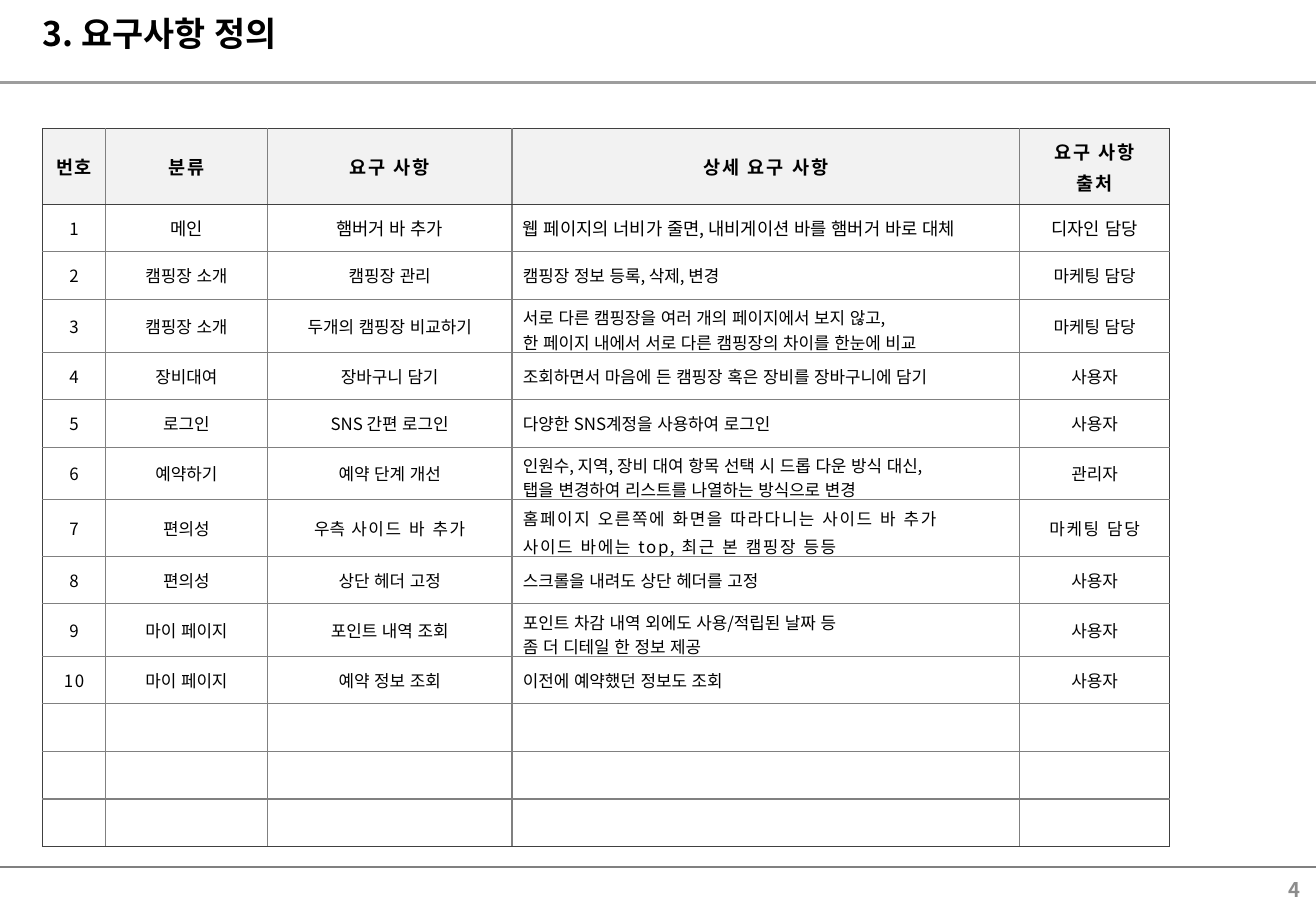
from dataclasses import dataclass

from lxml.etree import SubElement
from pptx import Presentation
from pptx.dml.color import RGBColor
from pptx.enum.shapes import MSO_CONNECTOR
from pptx.enum.text import MSO_ANCHOR as Anchor, PP_ALIGN as Align
from pptx.oxml import parse_xml
from pptx.oxml.ns import nsdecls, qn
from pptx.util import Pt


@dataclass(frozen=True)
class Theme:
    font: str = "Noto Sans CJK KR"
    text: str = "000000"
    page_number: str = "8C8C8C"
    rule: str = "808080"
    frame: str = "404040"
    header_fill: str = "F2F2F2"
    title_size: float = 20
    page_size: float = 12
    header_size: float = 11
    first_row_size: float = 10.5
    body_size: float = 10
    tracking: float = 1


THEME = Theme()
SLIDE_WIDTH, SLIDE_HEIGHT = 780, 540
TABLE_LEFT, TABLE_TOP = 25.2, 76.3
COLUMN_WIDTHS = (37.3, 96, 145, 301, 88.7)
HEADER_HEIGHT, ROW_HEIGHT = 44.8, 28.2
EMPTY_ROWS = 3
DETAIL_COLUMN = 3


def tracked(*lines, tracking=THEME.tracking):
    """Turn lines into paragraphs of one (text, letter spacing) run each."""
    return [[(line, tracking)] for line in lines]


HEADERS = [("번호",), ("분류",), ("요구 사항",), ("상세 요구 사항",), ("요구 사항", "출처")]
REQUIREMENTS = [
    ("메인", "햄버거 바 추가",
     "웹 페이지의 너비가 줄면, 내비게이션 바를 햄버거 바로 대체", "디자인 담당"),
    ("캠핑장 소개", "캠핑장 관리", "캠핑장 정보 등록, 삭제, 변경", "마케팅 담당"),
    ("캠핑장 소개", "두개의 캠핑장 비교하기",
     "서로 다른 캠핑장을 여러 개의 페이지에서 보지 않고,\n"
     "한 페이지 내에서 서로 다른 캠핑장의 차이를 한눈에 비교", "마케팅 담당"),
    ("장비대여", "장바구니 담기",
     "조회하면서 마음에 든 캠핑장 혹은 장비를 장바구니에 담기", "사용자"),
    ("로그인", "SNS 간편 로그인", "다양한 SNS계정을 사용하여 로그인", "사용자"),
    ("예약하기", "예약 단계 개선",
     "인원수, 지역, 장비 대여 항목 선택 시 드롭 다운 방식 대신,\n"
     "탭을 변경하여 리스트를 나열하는 방식으로 변경", "관리자"),
    ("편의성", [[("우측", 0), (" 사이드 바 추가", THEME.tracking)]],
     tracked("홈페이지 오른쪽에 화면을 따라다니는 사이드 바 추가",
             "사이드 바에는 top, 최근 본 캠핑장 등등"),
     tracked("마케팅 담당")),
    ("편의성", "상단 헤더 고정", "스크롤을 내려도 상단 헤더를 고정", "사용자"),
    ("마이 페이지", "포인트 내역 조회",
     "포인트 차감 내역 외에도 사용/적립된 날짜 등\n좀 더 디테일 한 정보 제공", "사용자"),
    ("마이 페이지", "예약 정보 조회", "이전에 예약했던 정보도 조회", "사용자"),
]


def add_run(paragraph, text, size, color=THEME.text, bold=False, tracking=0):
    run = paragraph.add_run()
    run.text = text
    run.font.size = Pt(size)
    run.font.bold = bold
    run.font.name = THEME.font
    run.font.color.rgb = RGBColor.from_string(color)
    properties = run.font._element
    properties.set("lang", "ko-KR")
    properties.set("spc", str(round(tracking * 100)))
    SubElement(properties, qn("a:ea"), typeface=THEME.font)


def add_title(slide, text):
    title = slide.shapes.title
    title.left, title.top, title.width, title.height = Pt(18), Pt(6.5), Pt(751), Pt(35.3)
    title.text_frame.vertical_anchor = Anchor.TOP
    heading = title.text_frame.paragraphs[0]
    heading.alignment = Align.LEFT
    heading.line_spacing = 0.9
    add_run(heading, text, THEME.title_size, bold=True)


def add_rule(slide, y, weight, opacity=100):
    rule = slide.shapes.add_connector(
        MSO_CONNECTOR.STRAIGHT, 0, Pt(y), Pt(SLIDE_WIDTH), Pt(y))
    rule.line.width = Pt(weight)
    rule.line.color.rgb = RGBColor.from_string(THEME.rule)
    color = rule.line._ln.find(".//" + qn("a:srgbClr"))
    SubElement(color, qn("a:alpha"), val=str(opacity * 1000))
    SubElement(rule._element.spPr, qn("a:effectLst"))


def add_page_number(slide, number):
    box = slide.shapes.add_textbox(Pt(602), Pt(516.2), Pt(175.7), Pt(22.3))
    box.text_frame.word_wrap = True
    box.text_frame.vertical_anchor = Anchor.MIDDLE
    paragraph = box.text_frame.paragraphs[0]
    paragraph.alignment = Align.RIGHT
    add_run(paragraph, number, THEME.page_size, THEME.page_number, bold=True)


def set_borders(cell, heavy_sides):
    """Draw all four sides, with the frame's line on the sides in heavy_sides."""
    properties = cell._tc.get_or_add_tcPr()
    for position, side in enumerate("LRTB"):
        color, weight = (THEME.frame, 1) if side in heavy_sides else (THEME.rule, 0.75)
        properties.insert(position, parse_xml(
            f'<a:ln{side} {nsdecls("a")} w="{Pt(weight)}"><a:solidFill>'
            f'<a:srgbClr val="{color}"/></a:solidFill></a:ln{side}>'))


def fill_cell(cell, paragraphs, size, bold=False, align=Align.CENTER, gap=0):
    cell.vertical_anchor = Anchor.MIDDLE
    cell.margin_left = cell.margin_right = Pt(6.5)
    cell.margin_top = cell.margin_bottom = Pt(3.6)
    frame = cell.text_frame
    for index, runs in enumerate(paragraphs):
        paragraph = frame.add_paragraph() if index else frame.paragraphs[0]
        paragraph.alignment = align
        if index:
            paragraph.space_before = Pt(gap)
        for text, tracking in runs:
            add_run(paragraph, text, size, bold=bold, tracking=tracking)
    if not paragraphs:
        ending = frame.paragraphs[0]._p.get_or_add_endParaRPr()
        ending.set("sz", str(THEME.body_size * 100))


def fill_requirement(table, number, requirement):
    size = THEME.first_row_size if number == 1 else THEME.body_size
    fill_cell(table.cell(number, 0), tracked(str(number)), THEME.body_size)
    for column, content in enumerate(requirement, start=1):
        is_plain = isinstance(content, str)
        paragraphs = tracked(*content.split("\n"), tracking=0) if is_plain else content
        fill_cell(table.cell(number, column), paragraphs, size,
                  align=Align.LEFT if column == DETAIL_COLUMN else Align.CENTER,
                  gap=0 if is_plain else size * 0.2)


def add_requirements_table(slide):
    row_count, column_count = 1 + len(REQUIREMENTS) + EMPTY_ROWS, len(HEADERS)
    table = slide.shapes.add_table(
        row_count, column_count, Pt(TABLE_LEFT), Pt(TABLE_TOP), Pt(sum(COLUMN_WIDTHS)),
        Pt(HEADER_HEIGHT + ROW_HEIGHT * (row_count - 1))).table
    table.first_row = table.horz_banding = False
    for column, width in zip(table.columns, COLUMN_WIDTHS):
        column.width = Pt(width)

    for row_index, row in enumerate(table.rows):
        row.height = Pt(ROW_HEIGHT if row_index else HEADER_HEIGHT)
        for column_index, cell in enumerate(row.cells):
            if row_index:
                cell.fill.background()
            else:
                cell.fill.solid()
                cell.fill.fore_color.rgb = RGBColor.from_string(THEME.header_fill)
            set_borders(cell, "".join(side for side, heavy in (
                ("L", column_index == 0),
                ("R", column_index == column_count - 1),
                ("T", row_index <= 1),
                ("B", row_index in (0, row_count - 1))) if heavy))

    for column, lines in enumerate(HEADERS):
        fill_cell(table.cell(0, column), tracked(*lines), THEME.header_size,
                  bold=True, gap=THEME.header_size * 0.2)
    for number, requirement in enumerate(REQUIREMENTS, start=1):
        fill_requirement(table, number, requirement)
    for row_index in range(1 + len(REQUIREMENTS), row_count):
        for column in range(column_count):
            fill_cell(table.cell(row_index, column), [], THEME.body_size)


def main():
    deck = Presentation()
    deck.slide_width, deck.slide_height = Pt(SLIDE_WIDTH), Pt(SLIDE_HEIGHT)
    slide = deck.slides.add_slide(deck.slide_layouts.get_by_name("Title Only"))
    add_rule(slide, 514, 0.75)
    add_rule(slide, 48.9, 1.5, opacity=76)
    add_title(slide, "3. 요구사항 정의")
    add_page_number(slide, "4")
    add_requirements_table(slide)
    deck.save("out.pptx")


if __name__ == "__main__":
    main()
